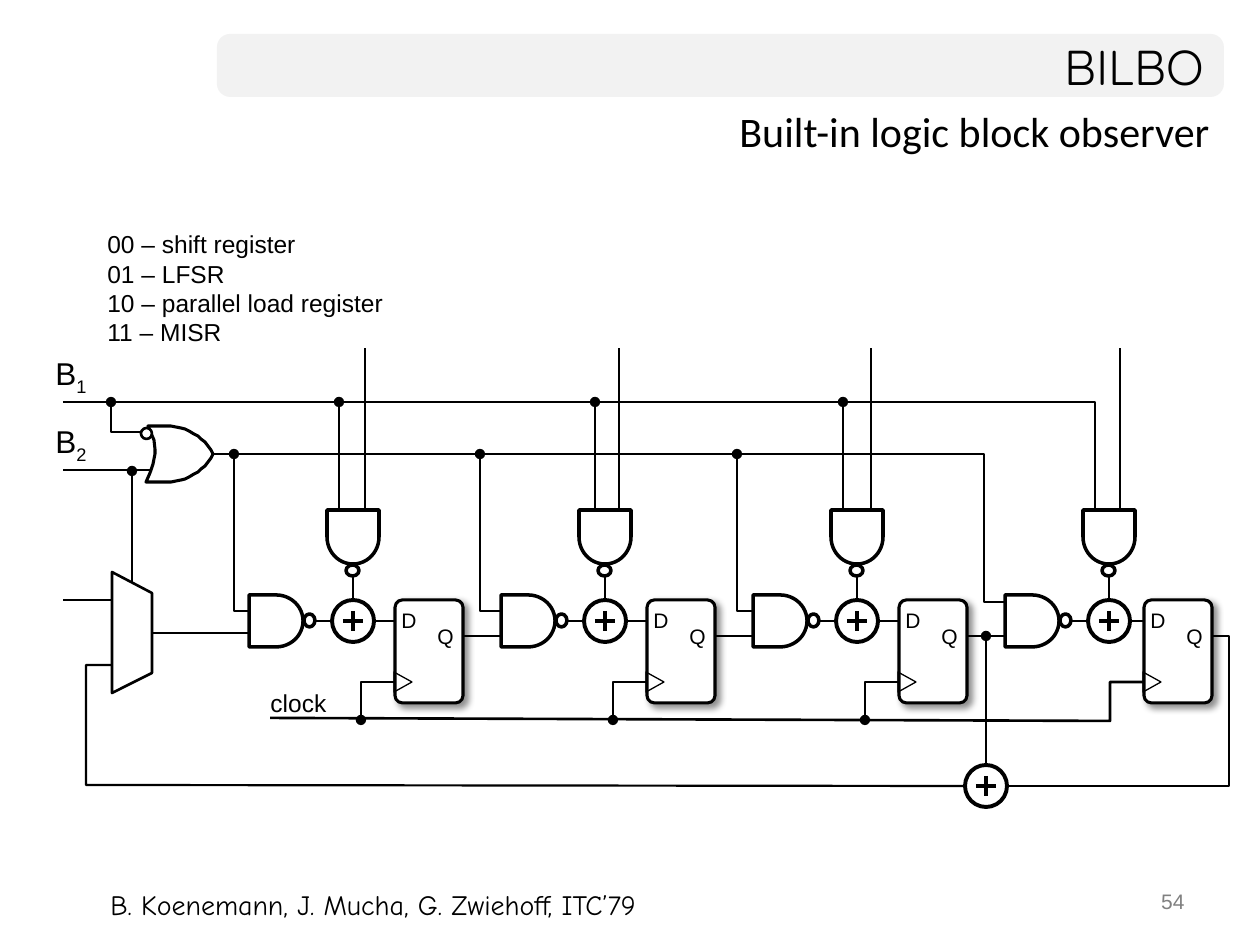
from lxml import etree
from pptx import Presentation
from pptx.dml.color import RGBColor
from pptx.enum.shapes import MSO_CONNECTOR, MSO_SHAPE
from pptx.enum.text import MSO_ANCHOR, MSO_AUTO_SIZE, PP_ALIGN
from pptx.oxml import parse_xml
from pptx.oxml.ns import qn
from pptx.util import Emu, Pt

PX = 914400 / 126
ROUNDED, DELAY = MSO_SHAPE.ROUNDED_RECTANGLE, MSO_SHAPE.FLOWCHART_DELAY
OVAL, TRIANGLE = MSO_SHAPE.OVAL, MSO_SHAPE.ISOSCELES_TRIANGLE
BUBBLE = MSO_SHAPE.FLOWCHART_CONNECTOR
STRAIGHT = MSO_CONNECTOR.STRAIGHT
LEFT, RIGHT = PP_ALIGN.LEFT, PP_ALIGN.RIGHT
TOP, MIDDLE = MSO_ANCHOR.TOP, MSO_ANCHOR.MIDDLE
BLACK, WHITE, BAND, GREY = "000000", "FFFFFF", "F2F2F2", "808080"

# Text, box, font, size
MODES = ["00 – shift register", "01 – LFSR", "10 – parallel load register", "11 – MISR"]
LABELS = [
    (["clock"], (258, 682, 83, 43), "Arial", 14),
    (MODES, (95, 223, 305, 131), "Arial", 14),
    (["B. Koenemann, J. Mucha, G. Zwiehoff, ITC’79"], (98, 881, 619, 47), "Comic Neue", 16),
]
SELECT_INPUTS = [("1", 348), ("2", 416)]  # subscript of B, top

# Wires: points, starts with a junction dot
WIRES = [
    ([(186, 454), (984, 454), (984, 602), (1004, 602)], False),
    ([(123, 633), (280, 633)], False),
    ([(132, 471), (132, 614)], True),
    ([(174, 470), (63, 470)], False),
    ([(111, 402), (111, 432), (174, 432)], True),
    ([(63, 402), (1095, 402), (1095, 527)], False),
    ([(270, 718), (1110, 721), (1110, 682), (1158, 682)], False),
    ([(986, 636), (986, 771)], True),
    ([(1208, 636), (1229, 636), (1229, 786), (979, 786)], False),
    ([(123, 600), (63, 600)], False),
]
FEEDBACK = [(139, 665), (86, 665), (86, 785), (979, 786)]
MUX = [(112, 572), (152, 593), (152, 673), (112, 693)]
OR_BACK = [(146, 482), (150, 473), (153, 464), (155, 454), (155, 449),
           (154, 440), (151, 433), (148, 426)]
OR_TOP = [(166, 426), (186, 426), (204, 437), (213, 454)]
OR_BOTTOM = [(213, 454), (204, 471), (186, 482), (166, 482)]

# One entry per register stage
STAGE_PITCH = 252
INPUT_X = [365, 619, 871, 1120]
B1_TAP_X = [339, 595, 843]
B2_TAP_X = [234, 480, 737]
FLIP_FLOP_X = [395, 647, 899, 1144]

presentation = Presentation()
presentation.slide_width, presentation.slide_height = Emu(9144000), Emu(6858000)
slide = presentation.slides.add_slide(presentation.slide_layouts[6])
shapes = slide.shapes


def px(*lengths):
    return [Emu(round(length * PX)) for length in lengths]


def color(value):
    return RGBColor.from_string(value)


def set_line(item, width, dot=False):
    item.line.color.rgb = color(BLACK)
    item.line.width = Pt(width)
    if dot:
        etree.SubElement(item.line._get_or_add_ln(), qn("a:headEnd"), type="oval")


def add_preset(kind, box, width, fill=WHITE, rotation=0):
    shape = shapes.add_shape(kind, *px(*box))
    shape.shadow.inherit = False
    shape.rotation = rotation
    if fill:
        shape.fill.solid()
        shape.fill.fore_color.rgb = color(fill)
    else:
        shape.fill.background()
    if width:
        set_line(shape, width)
    else:
        shape.line.fill.background()
    return shape


def add_outline(points, width, closed=False, dot=False):
    builder = shapes.build_freeform(*points[0], scale=PX)
    builder.add_line_segments(points[1:], close=closed)
    shape = builder.convert_to_shape()
    shape.shadow.inherit = False
    if closed:
        shape.fill.solid()
        shape.fill.fore_color.rgb = color(WHITE)
    else:
        shape.fill.background()
    set_line(shape, width, dot)


def add_wire(points, dot=False, width=1.5):
    if len(points) > 2:
        add_outline(points, width, dot=dot)
        return
    connector = shapes.add_connector(STRAIGHT, *px(*points[0], *points[1]))
    set_line(connector, width, dot)
    etree.SubElement(connector._element.spPr, qn("a:effectLst"))


def add_text(lines, box, font, size, fill=BLACK, align=LEFT, anchor=TOP, wrap=False):
    text_frame = shapes.add_textbox(*px(*box)).text_frame
    text_frame.word_wrap = wrap
    text_frame.auto_size = MSO_AUTO_SIZE.NONE if wrap else MSO_AUTO_SIZE.SHAPE_TO_FIT_TEXT
    text_frame.vertical_anchor = anchor
    text_frame.text = "\n".join(lines)
    for paragraph in text_frame.paragraphs:
        paragraph.alignment = align
        for run in paragraph.runs:
            run.font.name, run.font.size = font, Pt(size)
            run.font.color.rgb = color(fill)
    return text_frame


def curve(points, steps=12):
    """Sample a cubic Bezier curve given by four control points."""
    weights = [((1 - t) ** 3, 3 * t * (1 - t) ** 2, 3 * t * t * (1 - t), t ** 3)
               for t in (step / steps for step in range(steps + 1))]
    return [tuple(sum(w * point[axis] for w, point in zip(row, points)) for axis in (0, 1))
            for row in weights]


def add_xor(x, y):
    add_preset(OVAL, (x - 21, y - 21, 42, 42), 2.25)
    add_wire([(x - 10, y), (x + 10, y)], width=2.25)
    add_wire([(x, y - 10), (x, y + 10)], width=2.25)


def add_flip_flop(x):
    body = add_preset(ROUNDED, (x, 600, 68, 103), 1.75)
    body.adjustments[0] = 0.11
    effects = body._element.spPr.find(qn("a:effectLst"))
    effects.append(parse_xml(
        '<a:outerShdw xmlns:a="http://schemas.openxmlformats.org/drawingml/2006/main" '
        'blurRad="50800" dist="38100" dir="2700000" algn="tl" rotWithShape="0">'
        '<a:srgbClr val="000000"><a:alpha val="43000"/></a:srgbClr></a:outerShdw>'))
    add_text(["Q"], (x + 30, 617, 42, 38), "Arial", 12)
    add_preset(TRIANGLE, (x - 2, 673, 20, 18), 0.75, fill=None, rotation=90)
    add_text(["D"], (x - 6, 601, 40, 38), "Arial", 12)


def add_stage(left, flip_flop_x):
    center = left + 104
    add_wire([(center, 631), (center, 544)])
    add_wire([(left + 38, 621), (left + 187, 621)])
    add_preset(BUBBLE, (left + 55, 614, 11, 13), 2)
    add_preset(DELAY, (left, 595, 54, 52), 2)
    add_flip_flop(flip_flop_x)
    add_xor(center, 621)
    add_preset(BUBBLE, (center - 6, 564, 11, 13), 2, rotation=90)
    add_preset(DELAY, (center - 27, 511, 54, 52), 2, rotation=90)


# Heading
add_preset(ROUNDED, (217, 34, 1007, 63), 0, BAND).adjustments[0] = 0.21
add_text(["54"], (903, 882, 294, 44), "Arial", 12, GREY, RIGHT, wrap=True)
add_text(["BILBO"], (217, 34, 999, 63), "Quicksand", 28, BLACK, RIGHT, MIDDLE, wrap=True)
add_text(["Built-in logic block observer"], (721, 99, 501, 79), "Calibri", 24,
         BLACK, RIGHT, wrap=True)

# Wiring, behind the gates
for points, dot in WIRES:
    add_wire(points, dot)
add_wire(FEEDBACK, width=1.25)
for x in INPUT_X:
    add_wire([(x, 520), (x, 348)])
for stage, (b1_x, b2_x) in enumerate(zip(B1_TAP_X, B2_TAP_X)):
    offset = stage * STAGE_PITCH
    add_wire([(b1_x, 402), (b1_x, 540)], dot=True)
    add_wire([(b2_x, 454), (b2_x, 611), (b2_x + 52, 611)], dot=True)
    add_wire([(523 + offset, 636), (436 + offset, 636)])
    add_wire([(361 + offset, 720), (361 + offset, 682), (413 + offset, 682)], dot=True)

# Gates and registers
add_outline(OR_BACK + curve(OR_TOP) + curve(OR_BOTTOM)[1:], 1.75, closed=True)
add_preset(BUBBLE, (141, 428, 11, 11), 1.5)
add_outline(MUX, 1.5, closed=True)
add_xor(986, 786)
for stage, flip_flop_x in enumerate(FLIP_FLOP_X):
    add_stage(249 + stage * STAGE_PITCH, flip_flop_x)

# Labels
for label in LABELS:
    add_text(*label)
for subscript, top in SELECT_INPUTS:
    paragraph = add_text(["B"], (43, top, 58, 50), "Arial", 18).paragraphs[0]
    run = paragraph.add_run()
    run.text = subscript
    run.font.name, run.font.size = "Arial", Pt(18)
    run.font.color.rgb = color(BLACK)
    run._r.get_or_add_rPr().set("baseline", "-25000")

presentation.save("out.pptx")
